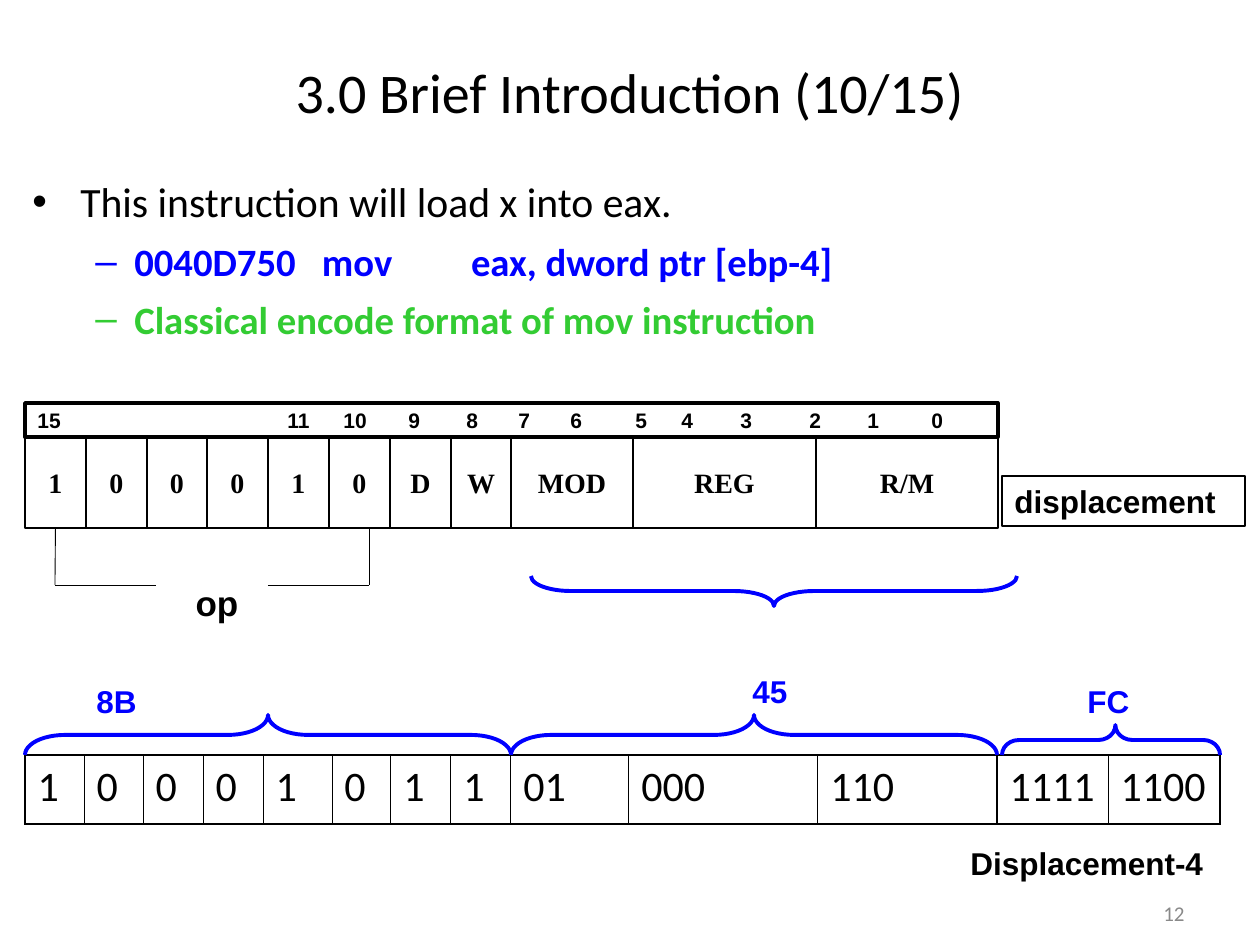
"""Builds a slide on the bit encoding of a mov instruction."""
import pptx
import pptx.dml.color
import pptx.enum.shapes
import pptx.enum.text
import pptx.oxml
import pptx.oxml.ns
import pptx.util

BLACK, BLUE, GREEN, GREY, WHITE = "000000", "0000FF", "33CC33", "898989", "FFFFFF"
ALIGN = pptx.enum.text.PP_ALIGN
ANCHOR = pptx.enum.text.MSO_ANCHOR
SHAPE = pptx.enum.shapes.MSO_SHAPE

BULLETS = [
    # text, character, size, colour, bold, margin, hanging, space before, level
    ("This instruction will load x into eax.", "•", 23.8, BLACK, False, 48, 48, 0, 0),
    ("0040D750   mov         eax, dword ptr [ebp-4]", "–", 22.1, BLUE, True, 102, 39, 6.5, 1),
    ("Classical encode format of mov instruction", "–", 22.1, GREEN, True, 102, 39, 6.5, 1),
]
BIT_NUMBERS = ["15", "11", "10", "9", "8", "7", "6", "5", "4", "3", "2", "1", "0"]
BIT_STOPS = [250, 306, 371, 429, 481, 533, 598, 644, 703, 772, 830, 894]
FIELDS = [("1", 1), ("0", 1), ("0", 1), ("0", 1), ("1", 1), ("0", 1), ("D", 1), ("W", 1),
          ("MOD", 2), ("REG", 3), ("R/M", 3)]
OPCODE_TABLE = [("1", 59), ("0", 59), ("0", 60), ("0", 60), ("1", 69), ("0", 59), ("1", 60),
                ("1", 60), ("01", 118), ("000", 189), ("110", 179)]
DISPLACEMENT_TABLE = [("1111", 111), ("1100", 112)]
LABELS = [
    ("Displacement-4", 958, 838, 287, BLACK),
    ("8B", 84, 676, 79, BLUE),
    ("45", 740, 666, 79, BLUE),
    ("FC", 1075, 676, 79, BLUE),
]
BRACES = [
    # left, top, length, depth, rotation, curve, tip
    (25, 715, 486, 40, 90, 1, 0.5),
    (511, 715, 486, 40, 90, 1, 0.5),
    (531, 576, 486, 30, 270, 1.33, 0.5),
    (1002, 725, 218, 30, 90, 0.56, 0.48),
]
ROW_LEFT, ROW_WIDTH, BITS = 25, 973, 16
FIELD_TOP, FIELD_HEIGHT = 437, 91
OP_BOTTOM = 585


def px(length):
    return pptx.util.Emu(round(length * 914400 / 126))


def colour(value):
    return pptx.dml.color.RGBColor.from_string(value)


def style(paragraph, size, font="Arial", ink=BLACK, bold=True, align=ALIGN.LEFT):
    paragraph.alignment = align
    for run in paragraph.runs:
        run.font.size = pptx.util.Pt(size)
        run.font.name = font
        run.font.bold = bold
        run.font.color.rgb = colour(ink)


def add_text(slide, text, box, size, anchor=ANCHOR.TOP, **look):
    shape = slide.shapes.add_textbox(*map(px, box))
    shape.text_frame.word_wrap = True
    shape.text_frame.vertical_anchor = anchor
    shape.text_frame.text = text
    style(shape.text_frame.paragraphs[0], size, **look)


def add_box(slide, text, box, size, line_width, fill=None, anchor=ANCHOR.MIDDLE, **look):
    shape = slide.shapes.add_shape(SHAPE.RECTANGLE, *map(px, box))
    shape.shadow.inherit = False
    if fill:
        shape.fill.solid()
        shape.fill.fore_color.rgb = colour(fill)
    else:
        shape.fill.background()
    shape.line.color.rgb = colour(BLACK)
    shape.line.width = pptx.util.Pt(line_width)
    shape.text_frame.word_wrap = True
    shape.text_frame.vertical_anchor = anchor
    shape.text_frame.text = text
    style(shape.text_frame.paragraphs[0], size, **look)
    return shape


def add_child(parent, tag, **attributes):
    element = pptx.oxml.parse_xml(f"<{tag} {pptx.oxml.ns.nsdecls('a')}/>")
    for name, value in attributes.items():
        element.set(name, str(value))
    parent.append(element)
    return element


def add_bullets(slide):
    frame = slide.shapes.add_textbox(px(20), px(170), px(1134), px(184)).text_frame
    frame.word_wrap = True
    for index, (text, mark, size, ink, bold, margin, hanging, before, level) in enumerate(BULLETS):
        paragraph = frame.add_paragraph() if index else frame.paragraphs[0]
        paragraph.text = text
        paragraph.level = level
        if before:
            paragraph.space_before = pptx.util.Pt(before)
        properties = paragraph._p.get_or_add_pPr()
        properties.set("marL", str(px(margin)))
        properties.set("indent", str(-px(hanging)))
        add_child(properties, "a:buFont", typeface="Arial")
        add_child(properties, "a:buChar", char=mark)
        style(paragraph, size, "Calibri", ink, bold)


def add_line(slide, x1, y1, x2, y2):
    connector = slide.shapes.add_connector(
        pptx.enum.shapes.MSO_CONNECTOR.STRAIGHT, px(x1), px(y1), px(x2), px(y2))
    connector.line.color.rgb = colour(BLACK)
    connector.line.width = pptx.util.Pt(0.5)
    add_child(connector._element.spPr, "a:effectLst")
    return connector


def add_encoding(slide):
    header = add_box(slide, "\t".join(BIT_NUMBERS), (ROW_LEFT, 403, ROW_WIDTH, 34), 12, 2, WHITE)
    tabs = add_child(header.text_frame.paragraphs[0]._p.get_or_add_pPr(), "a:tabLst")
    for stop in BIT_STOPS:
        add_child(tabs, "a:tab", pos=px(stop), algn="l")

    boxes, start = [], 0
    for text, bits in FIELDS:
        left = ROW_LEFT + round(ROW_WIDTH * start / BITS)
        start += bits
        right = ROW_LEFT + round(ROW_WIDTH * start / BITS)
        boxes.append(add_box(slide, text, (left, FIELD_TOP, right - left, FIELD_HEIGHT), 16, 1.5,
                             font="Times New Roman", align=ALIGN.CENTER))
        boxes[-1].text_frame.word_wrap = False
    add_box(slide, "displacement", (1002, 476, 243, 50), 18, 0.75, anchor=ANCHOR.TOP)

    field_bottom = FIELD_TOP + FIELD_HEIGHT
    add_line(slide, 55, field_bottom, 55, OP_BOTTOM).begin_connect(boxes[0], 2)
    add_line(slide, 369, OP_BOTTOM, 369, field_bottom)
    for left, right in ((55, 156), (268, 369)):
        add_line(slide, left, OP_BOTTOM, right, OP_BOTTOM)
    add_text(slide, "op", (105, 575, 224, 55), 20, align=ALIGN.CENTER)


def add_bit_table(slide, left, columns):
    width = sum(size for _, size in columns)
    table = slide.shapes.add_table(1, len(columns), px(left), px(755), px(width), px(69)).table
    table.first_row = table.horz_banding = False
    last = len(columns) - 1
    for index, (text, size) in enumerate(columns):
        table.columns[index].width = px(size)
        cell = table.cell(0, index)
        cell.text = text
        style(cell.text_frame.paragraphs[0], 24, "Calibri", bold=False)
        properties = cell._tc.get_or_add_tcPr()
        thin, thick = 0.45, 1.08
        edges = {"L": thin if index else thick, "R": thin if index < last else thick,
                 "T": thick, "B": thick}
        for side, points in edges.items():
            border = add_child(properties, f"a:ln{side}", w=pptx.util.Pt(points))
            add_child(add_child(border, "a:solidFill"), "a:srgbClr", val=BLACK)
        cell.fill.background()


def add_brace(slide, left, top, length, depth, rotation, curve, tip):
    offset = (length - depth) / 2
    brace = slide.shapes.add_shape(
        SHAPE.LEFT_BRACE, px(left + offset), px(top - offset), px(depth), px(length))
    brace.rotation = rotation
    brace.adjustments[0] = curve
    brace.adjustments[1] = tip
    brace.shadow.inherit = False
    brace.fill.background()
    brace.line.color.rgb = colour(BLUE)
    brace.line.width = pptx.util.Pt(2.25)


def main():
    presentation = pptx.Presentation()
    presentation.slide_width, presentation.slide_height = px(1260), px(945)
    slide = presentation.slides.add_slide(presentation.slide_layouts[6])
    add_text(slide, "12", (903, 888, 294, 50), 12, ANCHOR.MIDDLE,
             font="Calibri", ink=GREY, bold=False, align=ALIGN.RIGHT)
    add_text(slide, "3.0 Brief Introduction (10/15)", (0, 38, 1260, 107), 32, ANCHOR.MIDDLE,
             font="Calibri", bold=False, align=ALIGN.CENTER)
    add_bullets(slide)
    add_encoding(slide)
    add_bit_table(slide, 25, OPCODE_TABLE)
    add_bit_table(slide, 997, DISPLACEMENT_TABLE)
    for brace in BRACES:
        add_brace(slide, *brace)
    for text, left, top, width, ink in LABELS:
        add_text(slide, text, (left, top, width, 50), 18, ink=ink)
    presentation.save("out.pptx")


if __name__ == "__main__":
    main()
